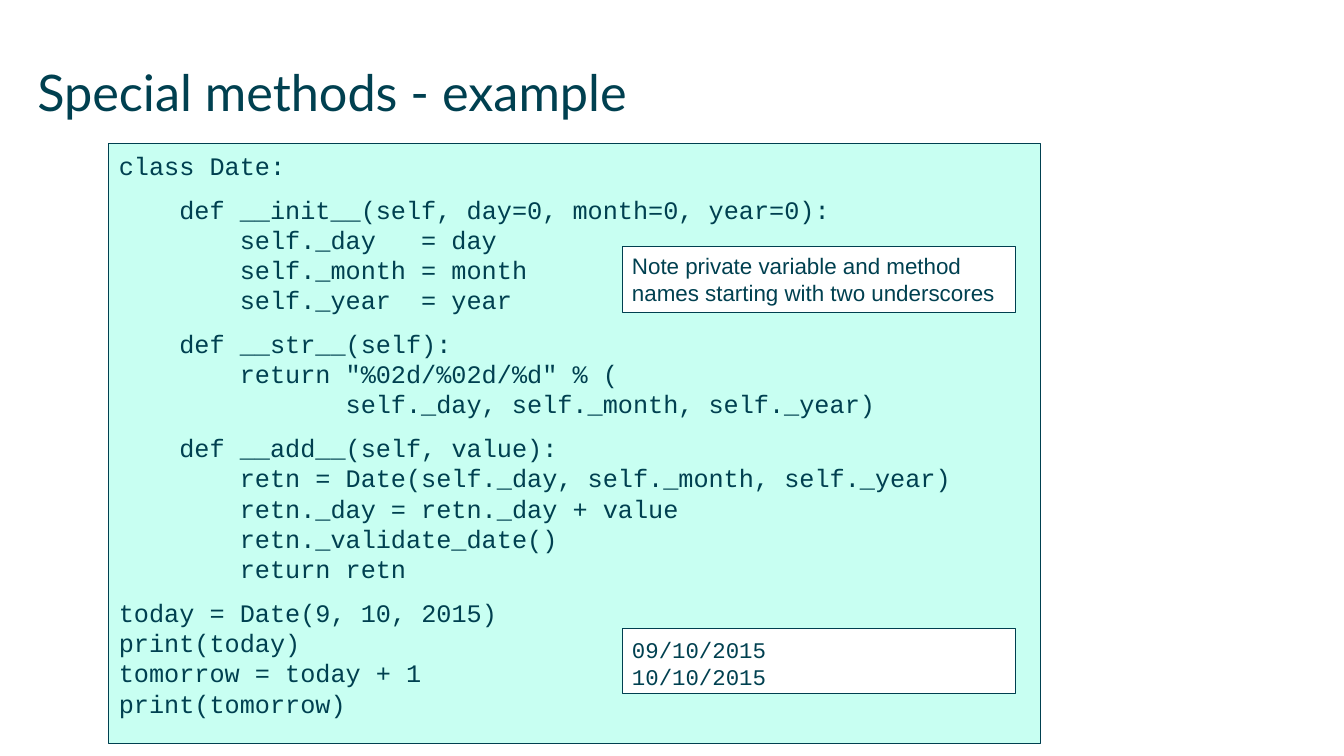
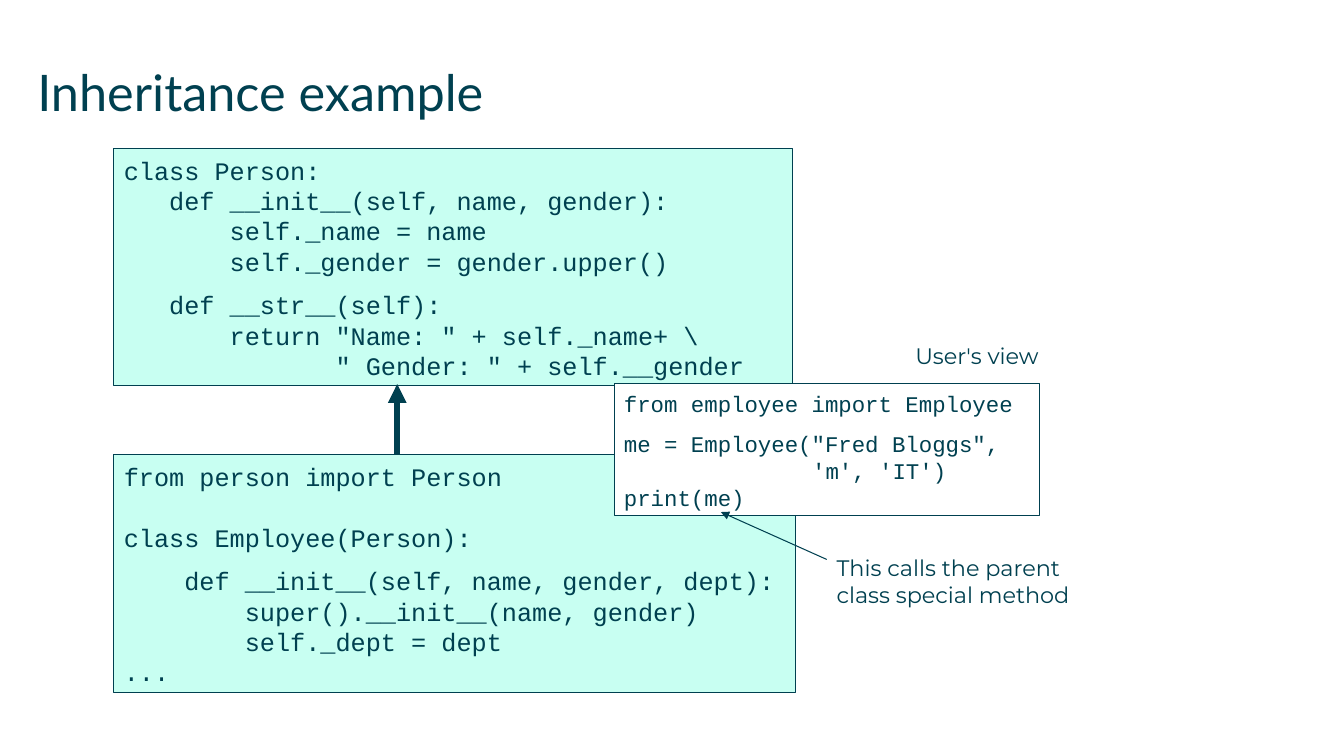
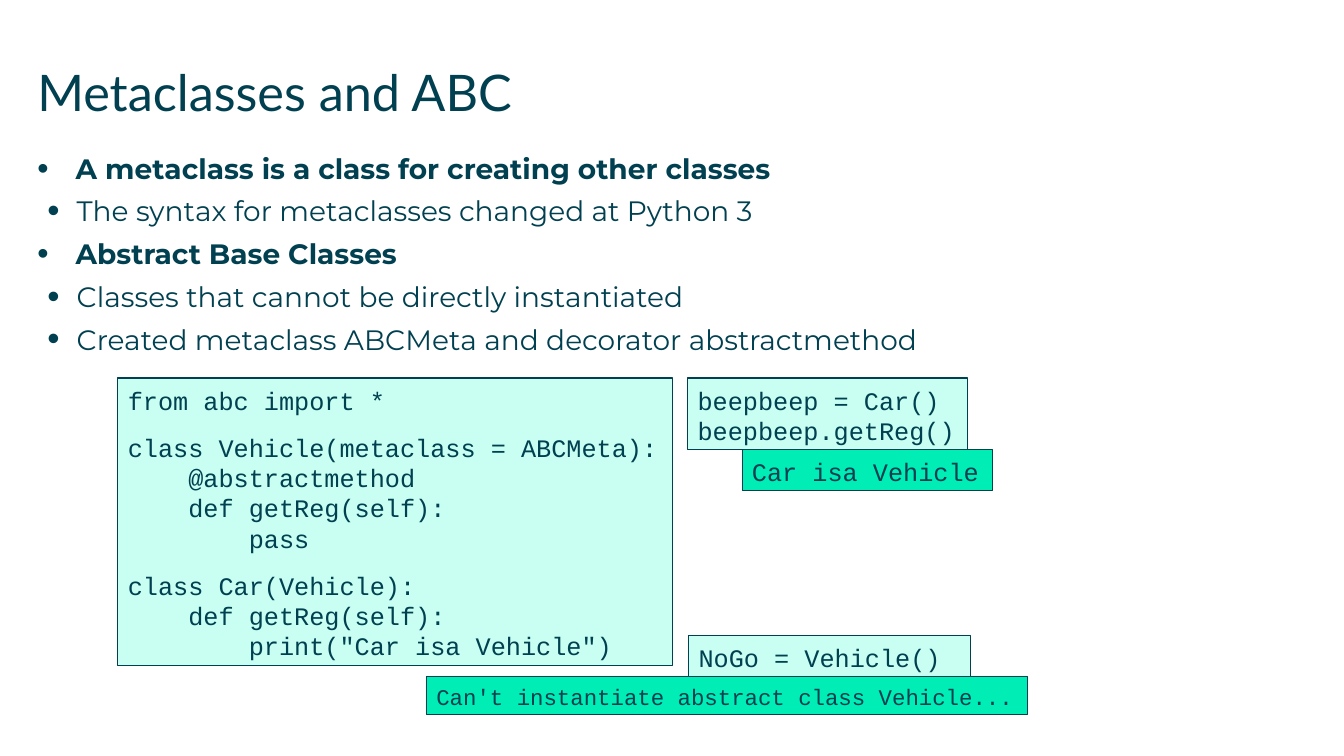
from dataclasses import dataclass

from lxml.etree import SubElement
from pptx import Presentation
from pptx.dml.color import RGBColor
from pptx.enum.shapes import MSO_CONNECTOR, MSO_SHAPE
from pptx.enum.text import MSO_ANCHOR, PP_ALIGN
from pptx.oxml.ns import qn
from pptx.slide import Slide
from pptx.text.text import TextFrame, _Paragraph
from pptx.util import Emu, Inches, Pt

# Shared style
INK = RGBColor(0x00, 0x40, 0x50)
MINT = RGBColor(0xC8, 0xFF, 0xF2)
GREEN = RGBColor(0x00, 0xED, 0xB5)
WHITE = RGBColor(0xFF, 0xFF, 0xFF)
TITLE_FONT, BODY_FONT = "Lato", "Montserrat"
CODE_FONT, NOTE_FONT = "Courier New", "Arial"
LINE_HEIGHT = 1.2  # of the text size
CODE_CHAR_WIDTH = 0.6  # of the text size


@dataclass(frozen=True)
class Panel:
    """A framed box; blank lines in its text become gaps of the given sizes."""
    left: float
    top: float
    width: float
    height: float
    text: str
    fill: RGBColor = MINT
    size: int = 18
    gaps: tuple[int, ...] = ()
    font: str = CODE_FONT


@dataclass(frozen=True)
class Label:
    left: float
    top: float
    width: float
    height: float
    text: str


@dataclass(frozen=True)
class Arrow:
    start: tuple[float, float]
    end: tuple[float, float]
    weight: float


@dataclass(frozen=True)
class Bullet:
    text: str
    is_heading: bool = False


def format_paragraph(paragraph: _Paragraph, font: str, size: int, bold: bool = False) -> None:
    paragraph.alignment = PP_ALIGN.LEFT
    paragraph.line_spacing = Pt(LINE_HEIGHT * size)
    for run in paragraph.runs:
        run.font.name = font
        run.font.size = Pt(size)
        run.font.bold = bold
        run.font.color.rgb = INK


def set_indent(paragraph: _Paragraph, margin: Emu, first_line: Emu = Emu(0)) -> None:
    properties = paragraph._p.get_or_add_pPr()
    properties.set("marL", str(int(margin)))
    properties.set("indent", str(int(first_line)))


def set_insets(frame: TextFrame, left: float, top: float, right: float, bottom: float) -> None:
    frame.word_wrap = True
    frame.vertical_anchor = MSO_ANCHOR.TOP
    frame.margin_left, frame.margin_top = Inches(left), Inches(top)
    frame.margin_right, frame.margin_bottom = Inches(right), Inches(bottom)


def add_text_area(slide: Slide, left: float, top: float, width: float, height: float) -> TextFrame:
    area = slide.shapes.add_textbox(Inches(left), Inches(top), Inches(width), Inches(height))
    set_insets(area.text_frame, 0, 0, 0, 0)
    return area.text_frame


def add_titled_slide(deck: Presentation, title: str) -> Slide:
    slide = deck.slides.add_slide(deck.slide_layouts[6])
    frame = add_text_area(slide, 0.37, 0.61, 12.6, 0.88)
    frame.text = title
    format_paragraph(frame.paragraphs[0], TITLE_FONT, 36)
    return slide


def add_panel(slide: Slide, panel: Panel) -> None:
    box = slide.shapes.add_shape(MSO_SHAPE.RECTANGLE, Inches(panel.left), Inches(panel.top),
                                 Inches(panel.width), Inches(panel.height))
    box.shadow.inherit = False
    box.fill.solid()
    box.fill.fore_color.rgb = panel.fill
    box.line.color.rgb = INK
    box.line.width = Pt(0.75)
    frame = box.text_frame
    set_insets(frame, 0.1, 0.07 if panel.font == CODE_FONT else 0.05, 0.05, 0.05)

    gaps = iter(panel.gaps)
    space_before = 0.0
    paragraph = None
    for line in panel.text.strip("\n").split("\n"):
        if not line:
            space_before = LINE_HEIGHT * next(gaps)
            continue
        paragraph = frame.add_paragraph() if paragraph else frame.paragraphs[0]
        code = line.lstrip()
        paragraph.text = code
        format_paragraph(paragraph, panel.font, panel.size)
        set_indent(paragraph, Pt((len(line) - len(code)) * CODE_CHAR_WIDTH * panel.size))
        paragraph.space_before = Pt(space_before)
        space_before = 0.0


def add_label(slide: Slide, label: Label) -> None:
    frame = add_text_area(slide, label.left, label.top, label.width, label.height)
    set_insets(frame, 0.1, 0.05, 0.05, 0.05)
    frame.text = label.text
    format_paragraph(frame.paragraphs[0], BODY_FONT, 16)


def add_arrow(slide: Slide, arrow: Arrow) -> None:
    connector = slide.shapes.add_connector(
        MSO_CONNECTOR.STRAIGHT, *(Inches(value) for value in arrow.start + arrow.end))
    connector.line.color.rgb = INK
    connector.line.width = Pt(arrow.weight)
    SubElement(connector.line._get_or_add_ln(), qn("a:tailEnd"), type="triangle")
    SubElement(connector._element.spPr, qn("a:effectLst"))


def add_bullets(slide: Slide, bullets: list[Bullet]) -> None:
    frame = add_text_area(slide, 0.37, 1.5, 12.59, 5.42)
    for index, bullet in enumerate(bullets):
        paragraph = frame.add_paragraph() if index else frame.paragraphs[0]
        paragraph.text = bullet.text
        format_paragraph(paragraph, BODY_FONT, 20, bullet.is_heading)
        paragraph.space_after = Pt(6.5)
        if bullet.is_heading:
            set_indent(paragraph, Inches(0.38), Inches(-0.38))
        else:
            paragraph.level = 1
            set_indent(paragraph, Inches(0.39), Inches(-0.29))
        properties = paragraph._p.get_or_add_pPr()
        SubElement(properties, qn("a:buSzPct"), val="115000" if bullet.is_heading else "125000")
        SubElement(properties, qn("a:buFont"), typeface="Arial")
        SubElement(properties, qn("a:buChar"), char="•")


# Code samples
DATE_CLASS = """
class Date:

    def __init__(self, day=0, month=0, year=0):
        self._day   = day
        self._month = month
        self._year  = year

    def __str__(self):
        return "%02d/%02d/%d" % (
               self._day, self._month, self._year)

    def __add__(self, value):
        retn = Date(self._day, self._month, self._year)
        retn._day = retn._day + value
        retn._validate_date()
        return retn

today = Date(9, 10, 2015)
print(today)
tomorrow = today + 1
print(tomorrow)
"""

PERSON_CLASS = """
class Person:
   def __init__(self, name, gender):
       self._name = name
       self._gender = gender.upper()

   def __str__(self):
       return "Name: " + self._name+ \\
              " Gender: " + self.__gender
"""

EMPLOYEE_CLASS = """
from person import Person

class Employee(Person):

    def __init__(self, name, gender, dept):
        super().__init__(name, gender)
        self._dept = dept
...
"""

EMPLOYEE_USE = """
from employee import Employee

me = Employee("Fred Bloggs",
              'm', 'IT')
print(me)
"""

VEHICLE_CLASSES = """
from abc import *

class Vehicle(metaclass = ABCMeta):
    @abstractmethod
    def getReg(self):
        pass

class Car(Vehicle):
    def getReg(self):
        print("Car isa Vehicle")
"""


def build_special_methods(deck: Presentation) -> None:
    slide = add_titled_slide(deck, "Special methods - example")
    add_panel(slide, Panel(1.08, 1.42, 9.24, 5.96, DATE_CLASS, gaps=(8, 8, 8, 8)))
    add_panel(slide, Panel(6.17, 6.24, 3.9, 0.64, "09/10/2015\n10/10/2015", WHITE, 16))
    add_panel(slide, Panel(
        6.17, 2.45, 3.9, 0.65,
        "Note private variable and method names starting with two underscores",
        WHITE, 16, font=NOTE_FONT))


def build_inheritance(deck: Presentation) -> None:
    slide = add_titled_slide(deck, "Inheritance example")
    add_panel(slide, Panel(1.13, 1.47, 6.73, 2.35, PERSON_CLASS, gaps=(8,)))
    add_panel(slide, Panel(1.13, 4.51, 6.76, 2.36, EMPLOYEE_CLASS, gaps=(18, 8)))
    add_arrow(slide, Arrow((3.94, 4.5), (3.94, 3.81), 4.5))
    add_panel(slide, Panel(6.09, 3.8, 4.22, 1.31, EMPLOYEE_USE, WHITE, 16, (8,)))
    add_label(slide, Label(8.2, 5.45, 2.76, 0.64, "This calls the parent class special method"))
    add_arrow(slide, Arrow((8.2, 5.55), (7.15, 5.08), 0.75))
    add_label(slide, Label(8.98, 3.35, 1.44, 0.37, "User's view"))


def build_metaclasses(deck: Presentation) -> None:
    slide = add_titled_slide(deck, "Metaclasses and ABC")
    add_bullets(slide, [
        Bullet("A metaclass is a class for creating other classes", True),
        Bullet("The syntax for metaclasses changed at Python 3"),
        Bullet("Abstract Base Classes", True),
        Bullet("Classes that cannot be directly instantiated"),
        Bullet("Created metaclass ABCMeta and decorator abstractmethod"),
    ])
    for panel in (
        Panel(1.17, 3.75, 5.5, 2.85, VEHICLE_CLASSES, gaps=(10, 10)),
        Panel(6.82, 3.75, 2.78, 0.71, "beepbeep = Car()\nbeepbeep.getReg()"),
        Panel(7.36, 4.46, 2.48, 0.41, "Car isa Vehicle", GREEN),
        Panel(6.83, 6.3, 2.8, 0.41, "NoGo = Vehicle()"),
        Panel(4.23, 6.71, 5.96, 0.38, "Can't instantiate abstract class Vehicle...", GREEN, 16),
    ):
        add_panel(slide, panel)


def main() -> None:
    deck = Presentation()
    deck.slide_width, deck.slide_height = Inches(13.33), Inches(7.5)
    build_special_methods(deck)
    build_inheritance(deck)
    build_metaclasses(deck)
    deck.save("out.pptx")


if __name__ == "__main__":
    main()
